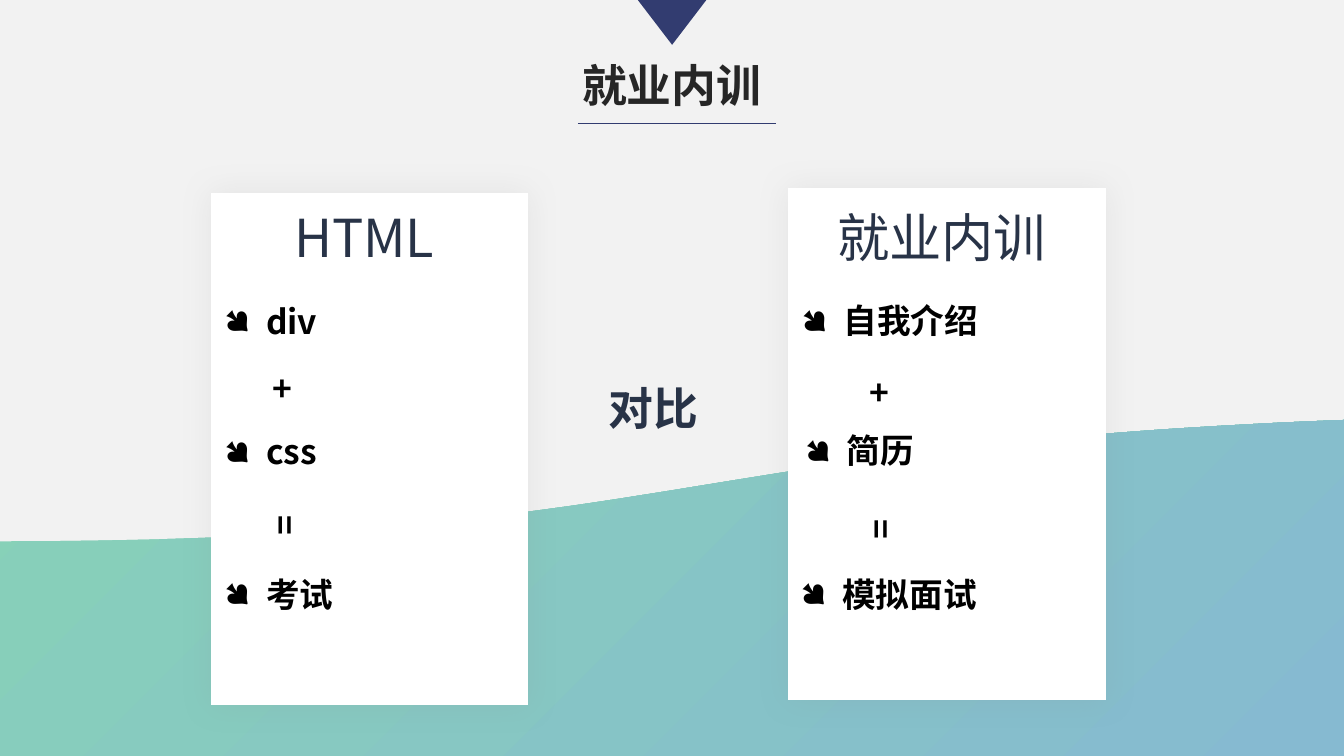
from dataclasses import dataclass

from lxml import etree
from pptx import Presentation
from pptx.dml.color import RGBColor
from pptx.enum.shapes import MSO_CONNECTOR, MSO_SHAPE
from pptx.enum.text import MSO_ANCHOR, MSO_AUTO_SIZE, PP_ALIGN
from pptx.oxml.ns import qn
from pptx.util import Pt

TRIANGLE = MSO_SHAPE.ISOSCELES_TRIANGLE
PROCESS = MSO_SHAPE.FLOWCHART_PROCESS
STRAIGHT = MSO_CONNECTOR.STRAIGHT
TOP = MSO_ANCHOR.TOP
GROW = MSO_AUTO_SIZE.SHAPE_TO_FIT_TEXT
LEFT = PP_ALIGN.LEFT


@dataclass(frozen=True)
class Theme:
    font: str = "Noto Sans CJK SC"
    background: str = "F2F2F2"
    accent: str = "323C70"
    title: str = "262626"
    heading: str = "283347"
    body: str = "000000"
    card: str = "FFFFFF"
    shadow: str = "808080"
    wave_blue: str = "86BAD1"
    wave_green: str = "87D1B8"
    title_size: int = 24
    heading_size: int = 28
    body_size: int = 18


THEME = Theme()
SLIDE_WIDTH, SLIDE_HEIGHT = 720, 405
CARD_WIDTH, CARD_HEIGHT = 170, 274.3
LINE_HEIGHT = 28.8
BULLET_INDENT = 22.5


def rgb(colour):
    return RGBColor.from_string(colour)


def add_xml(parent, tag, **attributes):
    return etree.SubElement(parent, qn(tag), attributes)


def fill_plain(shape, colour):
    shape.shadow.inherit = False
    shape.fill.solid()
    shape.fill.fore_color.rgb = rgb(colour)
    shape.line.fill.background()


def write_text(box, text, size, colour, bold=True, wrap=False):
    frame = box.text_frame
    frame.word_wrap = wrap
    frame.auto_size = GROW
    frame.vertical_anchor = TOP
    paragraph = frame.paragraphs[0]
    paragraph.alignment = LEFT
    run = paragraph.add_run()
    run.text = text
    run.font.name = THEME.font
    run.font.size = Pt(size)
    run.font.bold = bold
    run.font.color.rgb = rgb(colour)
    add_xml(run.font._element, "a:ea", typeface=THEME.font)
    return paragraph


def add_label(shapes, text, left, top, width, height, size, colour, bold=True, wrap=False):
    label = shapes.add_textbox(Pt(left), Pt(top), Pt(width), Pt(height))
    write_text(label, text, size, colour, bold, wrap)
    return label


def add_bullet_item(shapes, text, left, top, width, wrap=False):
    item = add_label(shapes, text, left, top, width, LINE_HEIGHT,
                     THEME.body_size, THEME.body, wrap=wrap)
    properties = item.text_frame.paragraphs[0]._p.get_or_add_pPr()
    properties.set("marL", str(Pt(BULLET_INDENT)))
    properties.set("indent", str(-Pt(BULLET_INDENT)))
    add_xml(properties, "a:buFont", typeface="Wingdings")
    add_xml(properties, "a:buChar", char="●")


def add_title(slide, text):
    title = slide.shapes.title
    title.left, title.top, title.width, title.height = Pt(304.6), Pt(27.4), Pt(111.6), Pt(36)
    write_text(title, text, THEME.title_size, THEME.title)
    pointer = slide.shapes.add_shape(TRIANGLE, Pt(341.7), Pt(0), Pt(36.7), Pt(24))
    pointer.rotation = 180
    fill_plain(pointer, THEME.accent)
    underline = slide.shapes.add_connector(STRAIGHT, Pt(309.6), Pt(66.3), Pt(415.6), Pt(66.3))
    underline.line.color.rgb = rgb(THEME.accent)
    underline.line.width = Pt(0.75)
    add_xml(underline._element.spPr, "a:effectLst")


def bezier(start, control_1, control_2, end, t):
    weights = (1 - t) ** 3, 3 * t * (1 - t) ** 2, 3 * t ** 2 * (1 - t), t ** 3
    points = start, control_1, control_2, end
    return tuple(Pt(sum(w * p[axis] for w, p in zip(weights, points))) for axis in (0, 1))


def add_wave(shapes):
    steps = 60
    crest = [bezier((0, 290), (360, 290), (362, 238.5), (SLIDE_WIDTH, 225), i / steps)
             for i in range(steps + 1)]
    builder = shapes.build_freeform(Pt(SLIDE_WIDTH), Pt(SLIDE_HEIGHT))
    builder.add_line_segments([(Pt(0), Pt(SLIDE_HEIGHT))] + crest, close=True)
    wave = builder.convert_to_shape()
    wave.shadow.inherit = False
    wave.line.fill.background()
    wave.fill.gradient()
    for stop, colour, position in zip(wave.fill.gradient_stops,
                                      (THEME.wave_blue, THEME.wave_green), (0, 1)):
        stop.color.rgb = rgb(colour)
        stop.position = position
    gradient = wave._element.spPr.find(qn("a:gradFill"))
    gradient.remove(gradient.find(qn("a:lin")))
    radial = add_xml(gradient, "a:path", path="circle")
    add_xml(radial, "a:fillToRect", l="100000", t="100000")


def add_card(shapes, left, top, heading, heading_left, heading_width, items):
    group = shapes.add_group_shape().shapes
    panel = group.add_shape(PROCESS, Pt(left), Pt(top), Pt(CARD_WIDTH), Pt(CARD_HEIGHT))
    fill_plain(panel, THEME.card)
    effects = panel._element.spPr.find(qn("a:effectLst"))
    glow = add_xml(effects, "a:outerShdw", blurRad=str(Pt(17)), dist="0", dir="0",
                   algn="ctr", rotWithShape="0")
    add_xml(add_xml(glow, "a:srgbClr", val=THEME.shadow), "a:alpha", val="12000")
    add_label(group, heading, heading_left, 106.6, heading_width, 41,
              THEME.heading_size, THEME.heading, bold=False)
    for item in items:
        add_bullet_item(group, *item)


def add_operators(shapes, left, top):
    for row, (symbol, rotation) in enumerate((("+", 0), ("=", 90))):
        operator = add_label(shapes, symbol, left, top + row * 74.9, 28, LINE_HEIGHT,
                             THEME.body_size, THEME.body)
        operator.rotation = rotation


def main():
    presentation = Presentation()
    presentation.slide_width = Pt(SLIDE_WIDTH)
    presentation.slide_height = Pt(SLIDE_HEIGHT)
    slide = presentation.slides.add_slide(presentation.slide_layouts[5])
    slide.background.fill.solid()
    slide.background.fill.fore_color.rgb = rgb(THEME.background)
    shapes = slide.shapes

    add_title(slide, "就业内训")
    add_wave(shapes)
    add_card(shapes, 113, 103.2, "HTML", 150.5, 95, [
        ("div", 113, 157.6, 65.5),
        ("css", 113, 227.5, 65),
        ("考试", 113, 303.8, 73.4),
    ])
    add_card(shapes, 422.3, 100.7, "就业内训", 441.4, 127.4, [
        ("自我介绍", 422.3, 157.2, 110.2),
        ("简历", 424.1, 226.8, 73.4),
        ("模拟面试", 421.7, 303.8, 153.4, True),
    ])
    add_operators(shapes, 458.6, 195.8)
    add_operators(shapes, 139, 193.6)
    add_label(shapes, "对比", 319, 200.2, 71.3, 36,
              THEME.title_size, THEME.heading, wrap=True)
    presentation.save("out.pptx")


if __name__ == "__main__":
    main()
